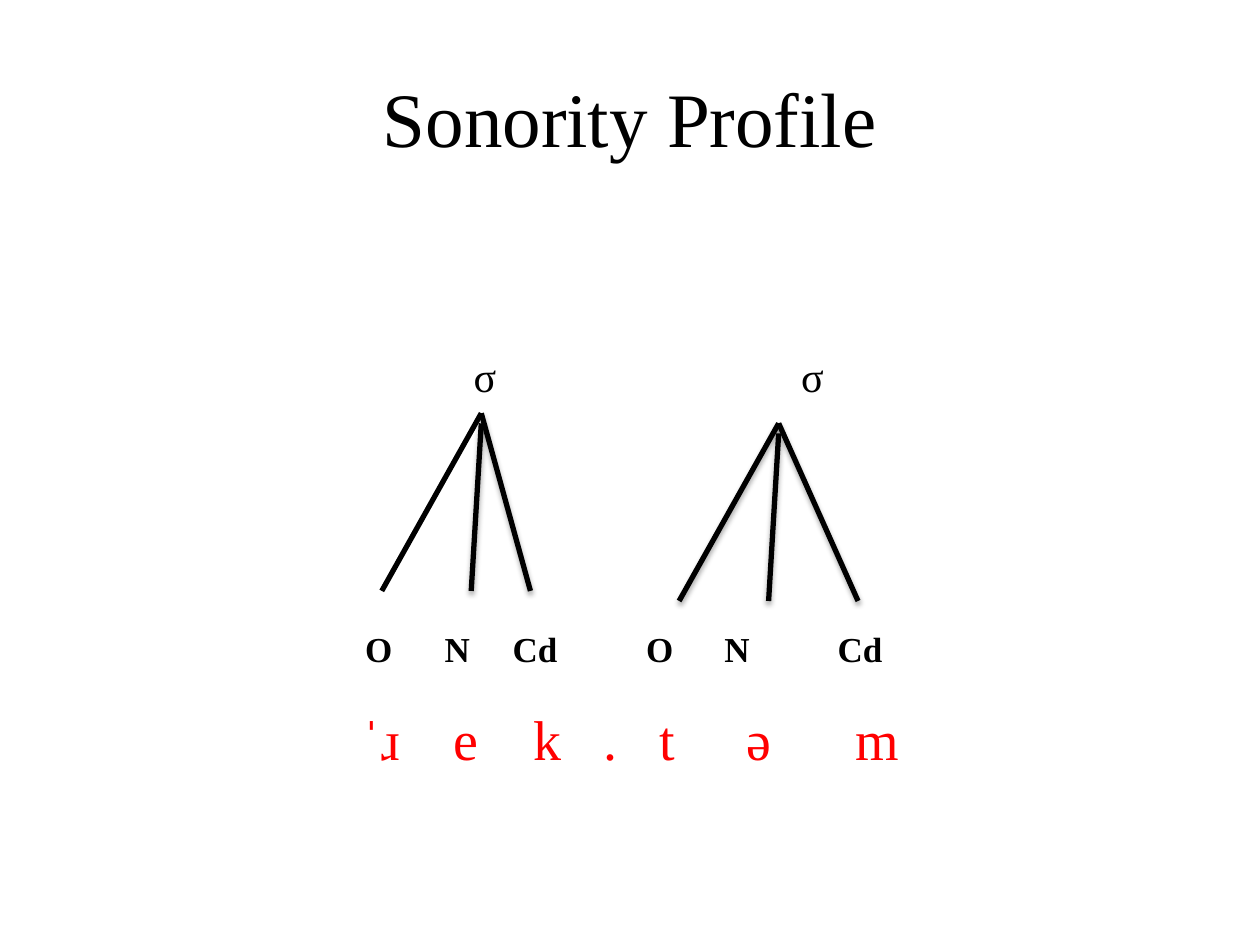
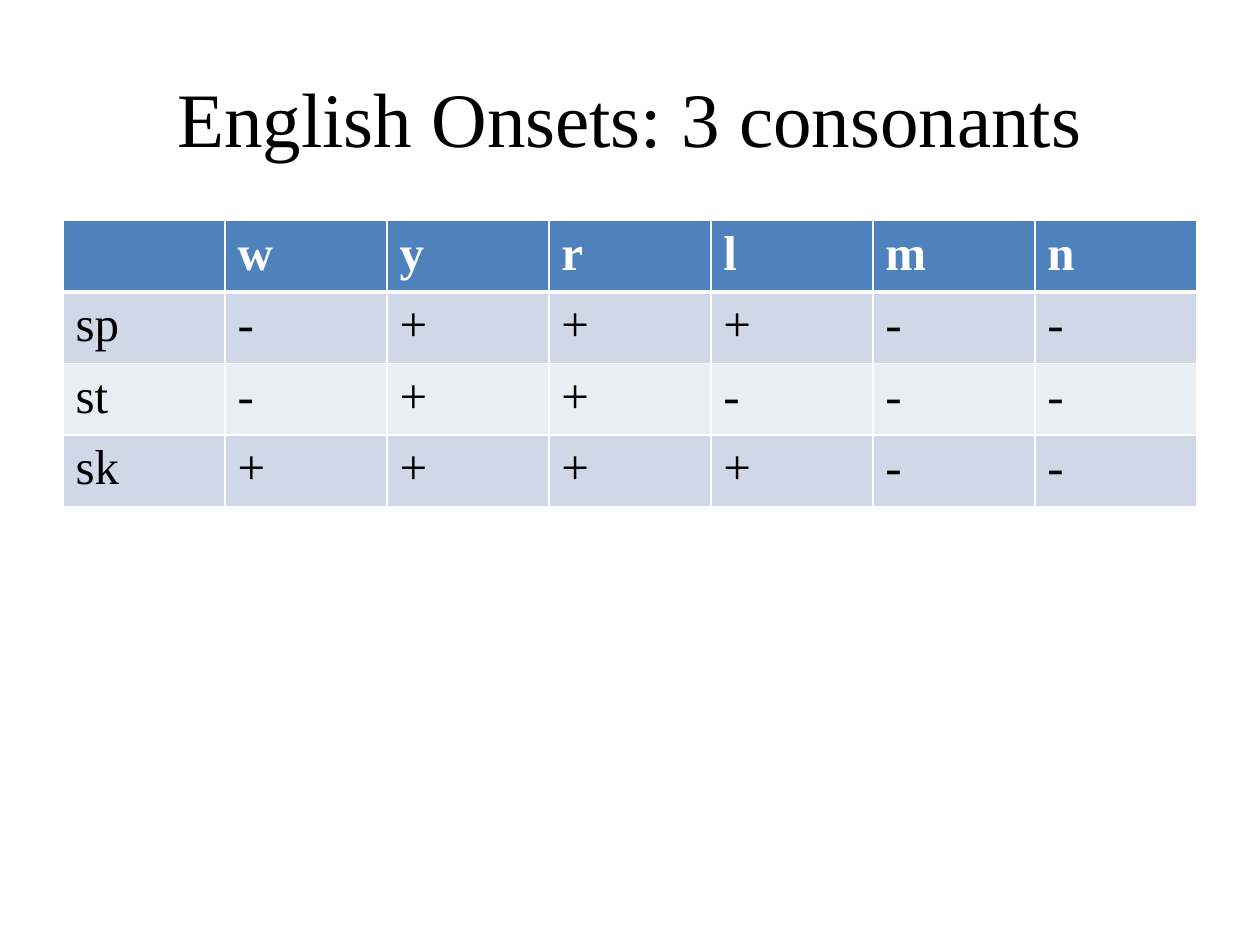
from dataclasses import dataclass, field

import pptx
import pptx.dml.color
import pptx.enum.shapes
import pptx.enum.text
import pptx.oxml
import pptx.util

SCALE = 9144  # EMU in one px, 100 px to the inch
FONT = "Times New Roman"
HUES = {"ink": "000000", "sound": "FF0000", "paper": "FFFFFF",
        "head": "4F81BD", "odd": "D0D8E8", "even": "E9EDF4"}
SPACE = 'xmlns:a="http://schemas.openxmlformats.org/drawingml/2006/main"'
ALIGN = pptx.enum.text.PP_ALIGN


@dataclass
class Row:
    """A line of text whose words stand at tab stops."""
    words: list[str]
    box: tuple[int, int, int, int]
    size: int
    hue: str = "ink"
    bold: bool = False
    stops: list[int] = field(default_factory=list)
    align: ALIGN = ALIGN.LEFT


@dataclass
class Tree:
    """A syllable node and its three branches."""
    apex: tuple[int, int]
    feet: list[int]
    shades: list[bool]


ROWS = [
    Row(["ˈɹ", "e", "k", ".", "t", "ə", "m"], (278, 555, 470, 61), 32, "sound",
        stops=[72, 136, 191, 236, 305, 391]),
    Row(["O", "N", "Cd", "O", "N", "Cd"], (280, 493, 465, 44), 20, bold=True,
        stops=[63, 117, 223, 285, 375]),
    Row(["σ", "σ"], (366, 273, 378, 50), 24, stops=[260]),
]
TREES = [
    Tree((382, 328), [303, 374, 421], [False, True, True]),
    Tree((618, 336), [539, 610, 681], [True, True, True]),
]
DROP = 141  # height of a tree
GAP = 8  # the middle branch starts this far below the apex

ONSETS = ["", "w", "y", "r", "l", "m", "n"]
SIGNS = {"sp": "-+++--", "st": "-++---", "sk": "++++--"}


def px(count: float) -> pptx.util.Emu:
    return pptx.util.Emu(round(count * SCALE))


def rgb(hue: str) -> pptx.dml.color.RGBColor:
    return pptx.dml.color.RGBColor.from_string(HUES[hue])


def xml(text: str):
    return pptx.oxml.parse_xml(text.replace(">", f" {SPACE}>", 1))


def style(run, size: int, hue: str, bold: bool = False) -> None:
    form = {"name": FONT, "size": pptx.util.Pt(size), "bold": bold}
    for key, value in form.items():
        setattr(run.font, key, value)
    run.font.color.rgb = rgb(hue)


def write(slide, row: Row) -> None:
    frame = slide.shapes.add_textbox(*map(px, row.box)).text_frame
    form = {"word_wrap": True,
            "vertical_anchor": pptx.enum.text.MSO_ANCHOR.MIDDLE}
    for key, value in form.items():
        setattr(frame, key, value)
    para = frame.paragraphs[0]
    para.alignment = row.align
    if row.stops:
        tabs = "".join(f'<a:tab pos="{px(stop)}" algn="l"/>' for stop in row.stops)
        para._p.get_or_add_pPr().append(xml(f"<a:tabLst>{tabs}</a:tabLst>"))
    run = para.add_run()
    run.text = "\t".join(row.words)
    style(run, row.size, row.hue, row.bold)


def branch(slide, start: tuple[int, int], end: tuple[int, int], shade: bool) -> None:
    kind = pptx.enum.shapes.MSO_CONNECTOR.STRAIGHT
    line = slide.shapes.add_connector(kind, *map(px, start + end))
    line.line.width = pptx.util.Pt(3)
    line.line.color.rgb = rgb("ink")
    glow = (f'<a:outerShdw blurRad="{pptx.util.Pt(3.1)}" dist="{pptx.util.Pt(1.8)}" '
            f'dir="5400000" rotWithShape="0"><a:srgbClr val="{HUES["ink"]}">'
            '<a:alpha val="35000"/></a:srgbClr></a:outerShdw>')
    line._element.spPr.append(
        xml(f"<a:effectLst>{glow if shade else ''}</a:effectLst>"))


def draw(slide, tree: Tree) -> None:
    left, top = tree.apex
    for spot, (foot, shade) in enumerate(zip(tree.feet, tree.shades)):
        start = (left, top + GAP * (spot == 1))
        branch(slide, start, (foot, top + DROP), shade)


def edge(cell, sides: dict[str, int]) -> None:
    for side, width in sides.items():
        cell._tc.get_or_add_tcPr().append(xml(
            f'<a:ln{side} w="{pptx.util.Pt(width)}"><a:solidFill>'
            f'<a:srgbClr val="{HUES["paper"]}"/></a:solidFill></a:ln{side}>'))


def table(slide) -> None:
    grid = [ONSETS] + [[name, *signs] for name, signs in SIGNS.items()]
    shape = slide.shapes.add_table(
        len(grid), len(ONSETS), *map(px, (50, 175, 900, 53 * len(grid))))
    for down, texts in enumerate(grid):
        head = down == 0
        fill = "head" if head else "odd" if down % 2 else "even"
        for across, text in enumerate(texts):
            cell = shape.table.cell(down, across)
            edge(cell, {"L": 1, "R": 1, "T": 3 if down == 1 else 1,
                        "B": 3 if head else 1})
            cell.fill.solid()
            cell.fill.fore_color.rgb = rgb(fill)
            if text:
                run = cell.text_frame.paragraphs[0].add_run()
                run.text = text
                style(run, 28, "paper" if head else "ink", head)


def begin(deck, title: str):
    slide = deck.slides.add_slide(deck.slide_layouts[6])
    write(slide, Row([title], (50, 30, 900, 125), 44, align=ALIGN.CENTER))
    return slide


def main() -> None:
    deck = pptx.Presentation()
    deck.slide_width, deck.slide_height = px(1000), px(750)

    # Syllable trees over the sounds
    slide = begin(deck, "Sonority Profile")
    for row in ROWS:
        write(slide, row)
    for tree in TREES:
        draw(slide, tree)

    # Table of onsets
    table(begin(deck, "English Onsets: 3 consonants"))
    deck.save("out.pptx")


if __name__ == "__main__":
    main()
